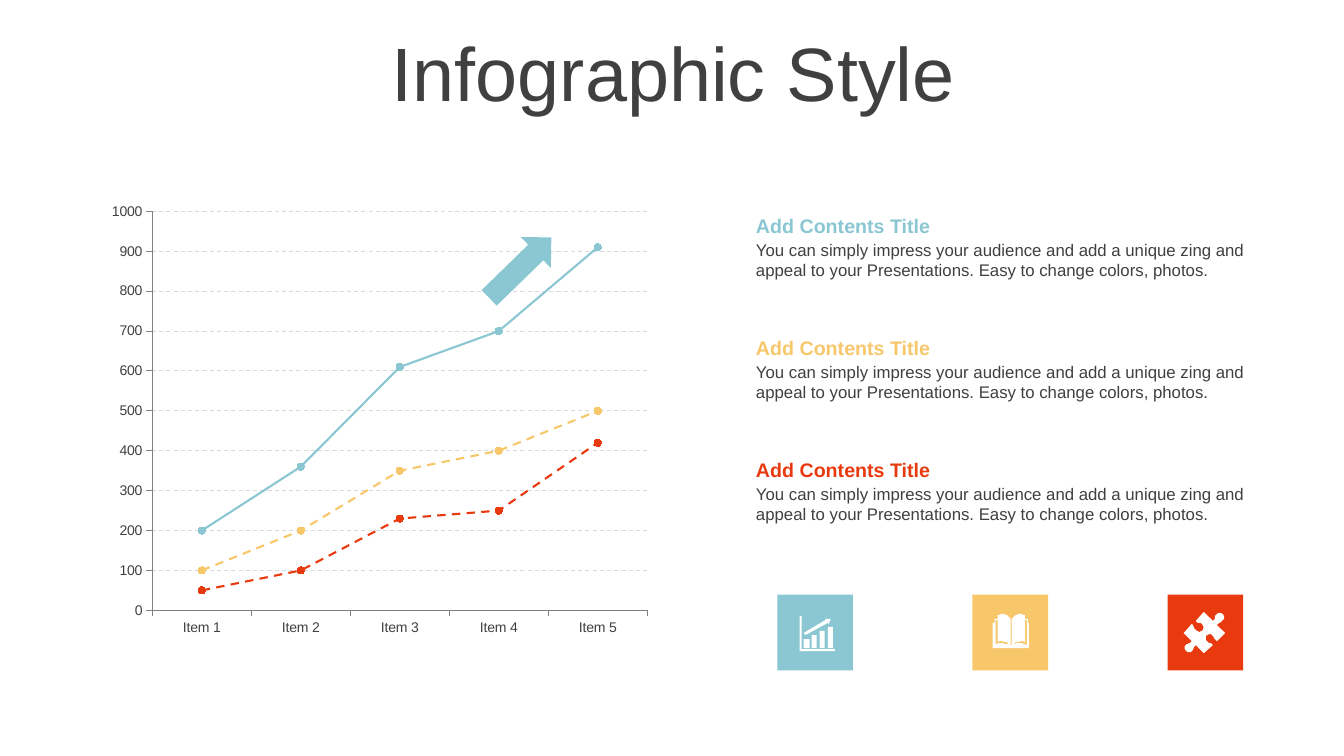
from pptx import Presentation
from pptx.chart.data import CategoryChartData
from pptx.dml.color import RGBColor
from pptx.enum.chart import XL_CHART_TYPE, XL_MARKER_STYLE, XL_TICK_MARK
from pptx.enum.dml import MSO_LINE
from pptx.enum.shapes import MSO_SHAPE
from pptx.enum.text import MSO_ANCHOR, MSO_AUTO_SIZE, PP_ALIGN
from pptx.util import Inches, Pt

BLUE = RGBColor(0x8A, 0xC7, 0xD3)
YELLOW = RGBColor(0xF7, 0xC7, 0x6A)
RED = RGBColor(0xE9, 0x3A, 0x0F)
WHITE = RGBColor(0xFF, 0xFF, 0xFF)
TEXT = RGBColor(0x40, 0x40, 0x40)
GRID = RGBColor(0xD9, 0xD9, 0xD9)
AXIS = RGBColor(0x80, 0x80, 0x80)
FONT = "Arial"

HEADING = "Add Contents Title"
BODY = ("You can simply impress your audience and add a unique zing and "
        "appeal to your Presentations. Easy to change colors, photos.")
SERIES = [
    ("Series 1", (50, 100, 230, 250, 420), RED, MSO_LINE.DASH),
    ("Series 2", (100, 200, 350, 400, 500), YELLOW, MSO_LINE.DASH),
    ("Series 3", (200, 360, 610, 700, 910), BLUE, MSO_LINE.SOLID),
]

BAR_TOPS = [(26, 32, 44), (34, 39, 40), (42, 47, 36), (50, 55, 32)]
GROWTH_ICON = [
    [(left, top), (right, top), (right, 53), (left, 53)]
    for left, right, top in BAR_TOPS
] + [
    [(47, 24), (53, 24), (51, 29), (50, 28), (28, 40), (26, 38), (48, 25)],
    [(22, 21), (24, 21), (24, 54), (57, 54), (57, 56), (22, 56)],
]
BOOK_ICON = [[
    (38, 50), (38, 50, 39, 51, 39, 50), (45, 48, 48, 47, 54, 50), (54, 25),
    (52, 25), (52, 33, 52, 40, 52, 47), (48, 45, 43, 47, 39, 50), (39, 24),
    (42, 21, 44, 19, 47, 19), (49, 19, 50, 20, 52, 20), (52, 24), (55, 24),
    (55, 28), (56, 28), (56, 53), (20, 53), (20, 28), (22, 28), (22, 24),
    (25, 24), (25, 20), (27, 20, 28, 19, 30, 19), (33, 19, 35, 21, 38, 24),
    (38, 50), (34, 47, 29, 45, 25, 47), (25, 25), (23, 25), (23, 49),
    (29, 47, 32, 49, 38, 50),
]]
PUZZLE_ICON = [[
    (55, 19), (56, 21, 57, 23, 55, 25), (53, 28, 51, 27, 49, 30), (57, 38),
    (49, 46), (46, 44, 47, 42, 44, 40), (43, 38, 40, 39, 39, 40),
    (37, 41, 37, 44, 39, 46), (41, 49, 42, 47, 45, 50), (36, 58), (28, 50),
    (25, 53, 26, 53, 24, 56), (22, 58, 19, 57, 18, 56),
    (17, 55, 16, 52, 18, 50), (20, 48, 22, 49, 24, 46), (16, 38), (24, 29),
    (27, 32, 26, 34, 29, 36), (30, 37, 33, 37, 34, 36),
    (36, 34, 36, 31, 34, 29), (32, 27, 31, 29, 28, 26), (36, 17), (45, 26),
    (48, 23, 46, 22, 48, 20), (51, 17, 53, 18, 55, 19),
]]


def set_font(font, size, color, bold=False):
    """Apply the slide's typeface with a size and colour."""
    font.name = FONT
    font.size = Pt(size)
    font.bold = bold
    font.color.rgb = color


def fill_flat(shape, color):
    """Give a shape a plain fill without line or shadow."""
    shape.shadow.inherit = False
    shape.fill.solid()
    shape.fill.fore_color.rgb = color
    shape.line.fill.background()


def add_title(slide, left, top, width, height):
    """Place the centred slide title."""
    title = slide.shapes.title
    title.left, title.top = Inches(left), Inches(top)
    title.width, title.height = Inches(width), Inches(height)
    frame = title.text_frame
    frame.text = "Infographic Style"
    frame.auto_size = MSO_AUTO_SIZE.NONE
    frame.vertical_anchor = MSO_ANCHOR.MIDDLE
    paragraph = frame.paragraphs[0]
    paragraph.alignment = PP_ALIGN.CENTER
    paragraph.line_spacing = 0.9
    set_font(paragraph.font, 54, TEXT)


def add_growth_chart(slide, left, top, width, height):
    """Place the line chart and the rising arrow on it."""
    data = CategoryChartData()
    data.categories = [f"Item {number}" for number in range(1, 6)]
    for name, values, _, _ in SERIES:
        data.add_series(name, values)
    chart = slide.shapes.add_chart(
        XL_CHART_TYPE.LINE_MARKERS, Inches(left), Inches(top),
        Inches(width), Inches(height), data).chart
    chart.has_legend = False
    chart.has_title = False
    set_font(chart.font, 18, TEXT)
    chart.plots[0].vary_by_categories = False

    for axis in (chart.category_axis, chart.value_axis):
        axis.major_tick_mark = XL_TICK_MARK.OUTSIDE
        axis.minor_tick_mark = XL_TICK_MARK.NONE
        axis.format.line.color.rgb = AXIS
        axis.format.line.width = Pt(0.75)
        set_font(axis.tick_labels.font, 10, TEXT)
    value_axis = chart.value_axis
    value_axis.minimum_scale, value_axis.maximum_scale = 0, 1000
    value_axis.major_unit = 100
    value_axis.has_major_gridlines = True
    grid_line = value_axis.major_gridlines.format.line
    grid_line.color.rgb = GRID
    grid_line.width = Pt(0.75)
    grid_line.dash_style = MSO_LINE.DASH

    for series, (_, _, color, dash) in zip(chart.plots[0].series, SERIES):
        series.smooth = False
        series.format.line.color.rgb = color
        series.format.line.width = Pt(1.5)
        series.format.line.dash_style = dash
        marker = series.marker
        marker.style = XL_MARKER_STYLE.CIRCLE
        marker.size = 5
        marker.format.fill.solid()
        marker.format.fill.fore_color.rgb = color
        marker.format.line.color.rgb = color

    arrow = slide.shapes.add_shape(
        MSO_SHAPE.RIGHT_ARROW, Inches(left + 3.73), Inches(top + 0.51),
        Inches(0.86), Inches(0.43))
    arrow.rotation = 315.8
    fill_flat(arrow, BLUE)


def add_text(shapes, left, top, width, height, text, size, color, bold=False):
    """Place one wrapped text box."""
    box = shapes.add_textbox(
        Inches(left), Inches(top), Inches(width), Inches(height))
    frame = box.text_frame
    frame.word_wrap = True
    frame.auto_size = MSO_AUTO_SIZE.SHAPE_TO_FIT_TEXT
    frame.vertical_anchor = MSO_ANCHOR.MIDDLE
    frame.text = text
    set_font(frame.paragraphs[0].font, size, color, bold)


def add_contents(slide, left, top, width, pitch):
    """Place the three headed paragraphs at equal steps."""
    for index, color in enumerate((BLUE, YELLOW, RED)):
        shapes = slide.shapes.add_group_shape().shapes
        row_top = top + index * pitch
        add_text(shapes, left, row_top + 0.26, width, 0.5, BODY, 12, TEXT)
        add_text(shapes, left, row_top, width, 0.34, HEADING, 14, color, True)


def flatten(outline, steps=6):
    """Turn an outline of points and cubic curves into points."""
    points = [outline[0]]
    for segment in outline[1:]:
        if len(segment) == 2:
            points.append(segment)
            continue
        controls = [points[-1], segment[:2], segment[2:4], segment[4:]]
        for step in range(1, steps + 1):
            t = step / steps
            weights = ((1 - t) ** 3, 3 * t * (1 - t) ** 2,
                       3 * t ** 2 * (1 - t), t ** 3)
            points.append(tuple(
                sum(weight * control[axis]
                    for weight, control in zip(weights, controls))
                for axis in (0, 1)))
    return points


def add_icon_tile(slide, left, top, size, color, outlines):
    """Place a coloured square with a white icon in it."""
    tile = slide.shapes.add_shape(
        MSO_SHAPE.RECTANGLE, Inches(left), Inches(top),
        Inches(size), Inches(size))
    fill_flat(tile, color)
    contours = [flatten(outline) for outline in outlines]
    builder = slide.shapes.build_freeform(
        *contours[0][0], scale=Inches(0.01))
    builder.add_line_segments(contours[0][1:], close=True)
    for contour in contours[1:]:
        builder.move_to(*contour[0])
        builder.add_line_segments(contour[1:], close=True)
    icon = builder.convert_to_shape(Inches(left), Inches(top))
    fill_flat(icon, WHITE)


def add_icon_row(slide, left, top, width, size):
    """Spread the three icon tiles evenly across the row."""
    tiles = [(BLUE, GROWTH_ICON), (YELLOW, BOOK_ICON), (RED, PUZZLE_ICON)]
    pitch = (width - size) / (len(tiles) - 1)
    for index, (color, outlines) in enumerate(tiles):
        add_icon_tile(slide, left + index * pitch, top, size, color, outlines)


def main():
    """Build and save the slide."""
    presentation = Presentation()
    presentation.slide_width = Inches(13.33)
    presentation.slide_height = Inches(7.5)
    slide = presentation.slides.add_slide(presentation.slide_layouts[5])
    add_title(slide, 0.35, 0.37, 12.66, 0.79)
    add_growth_chart(slide, 1, 1.93, 5.53, 4.47)
    add_contents(slide, 7.4, 2.07, 5.07, 1.21)
    add_icon_row(slide, 7.71, 5.9, 4.62, 0.75)
    presentation.save("out.pptx")


if __name__ == "__main__":
    main()
